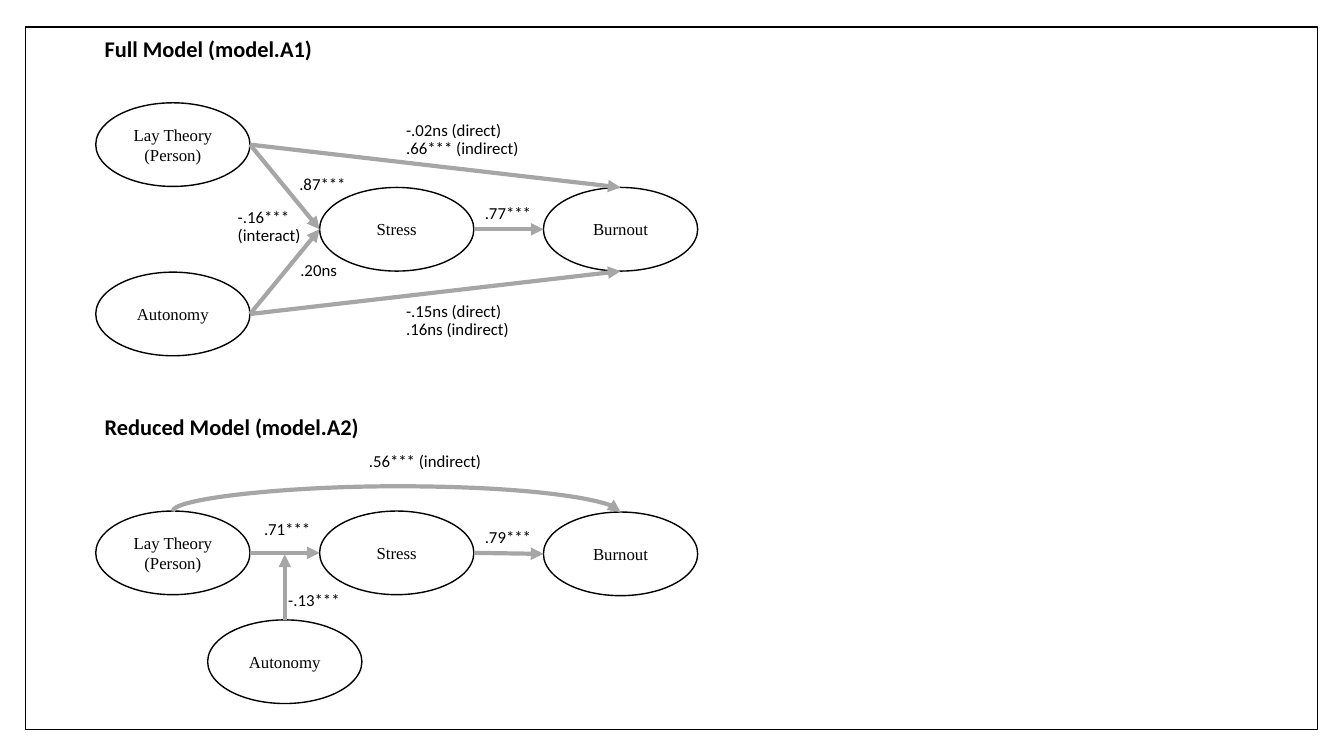
from lxml import etree
from pptx import Presentation
from pptx.dml.color import RGBColor
from pptx.enum import shapes, text
from pptx.oxml.ns import qn
from pptx.util import Inches, Pt

BLACK = RGBColor(0x00, 0x00, 0x00)
WHITE = RGBColor(0xFF, 0xFF, 0xFF)
GRAY = RGBColor(0xA6, 0xA6, 0xA6)

NODE_WIDTH, NODE_HEIGHT = 1.53, 0.83
PERSON_X, STRESS_X, BURNOUT_X = 0.95, 3.17, 5.39
MODERATOR_X = (PERSON_X + STRESS_X) / 2

# Points on an ellipse, as shares of its width and height
TOP, LEFT, BOTTOM, RIGHT = (0.5, 0), (0, 0.5), (0.5, 1), (1, 0.5)

# Labels: text, left, top, width
MODELS = [
    {
        "heading": ("Full Model (model.A1)", 0.33),
        "nodes": {
            "Lay Theory (Person)": (PERSON_X, 1.02),
            "Autonomy": (PERSON_X, 2.7),
            "Stress": (STRESS_X, 1.86),
            "Burnout": (BURNOUT_X, 1.86),
        },
        "arrows": [
            ("Lay Theory (Person)", RIGHT, "Stress", LEFT),
            ("Autonomy", RIGHT, "Stress", LEFT),
            ("Stress", RIGHT, "Burnout", LEFT),
            ("Lay Theory (Person)", RIGHT, "Burnout", TOP),
            ("Autonomy", RIGHT, "Burnout", BOTTOM),
        ],
        "labels": [
            (".87***", 2.87, 1.7, 0.69),
            (".20ns", 2.88, 2.55, 0.58),
            ("-.16***\n(interact)", 2.26, 2.02, 0.83),
            ("-.02ns (direct)\n.66*** (indirect)", 3.93, 1.16, 2.23),
            ("-.15ns (direct)\n.16ns (indirect)", 3.93, 2.96, 2.23),
            (".77***", 4.71, 1.98, 0.69),
        ],
    },
    {
        "heading": ("Reduced Model (model.A2)", 4.08),
        "nodes": {
            "Lay Theory (Person)": (PERSON_X, 5.07),
            "Autonomy": (MODERATOR_X, 6.15),
            "Stress": (STRESS_X, 5.07),
            "Burnout": (BURNOUT_X, 5.08),
        },
        "arrows": [
            ("Lay Theory (Person)", RIGHT, "Stress", LEFT),
            ("Stress", RIGHT, "Burnout", LEFT),
        ],
        "labels": [
            (".71***", 2.52, 5.12, 0.69),
            (".79***", 4.71, 5.2, 0.69),
            ("-.13***", 2.76, 5.82, 0.89),
            (".56*** (indirect)", 3.56, 4.44, 2.23),
        ],
    },
]

presentation = Presentation()
presentation.slide_width, presentation.slide_height = Inches(13.33), Inches(7.5)
slide = presentation.slides.add_slide(presentation.slide_layouts[6])


def format_text(text_frame, size, font, bold=False):
    text_frame.word_wrap = True
    for paragraph in text_frame.paragraphs:
        for run in paragraph.runs:
            run.font.size, run.font.name, run.font.bold = Pt(size), font, bold
            run.font.color.rgb = BLACK


def add_outline(kind, left, top, width, height):
    shape = slide.shapes.add_shape(
        kind, Inches(left), Inches(top), Inches(width), Inches(height))
    shape.shadow.inherit = False
    shape.line.color.rgb, shape.line.width = BLACK, Pt(1)
    return shape


def add_node(name, left, top):
    shape = add_outline(shapes.MSO_SHAPE.OVAL, left, top, NODE_WIDTH, NODE_HEIGHT)
    shape.fill.background()
    frame = shape.text_frame
    frame.margin_left = frame.margin_right = frame.margin_top = frame.margin_bottom = 0
    frame.vertical_anchor = text.MSO_ANCHOR.MIDDLE
    frame.text = name
    frame.paragraphs[0].alignment = text.PP_ALIGN.CENTER
    format_text(frame, 12, "Times New Roman")


def add_label(content, left, top, width, height=0.3, size=12, bold=False):
    box = slide.shapes.add_textbox(Inches(left), Inches(top), Inches(width), Inches(height))
    box.text_frame.text = content
    for paragraph in box.text_frame.paragraphs:
        paragraph.line_spacing = 0.9
    format_text(box.text_frame, size, "Calibri", bold)


def add_arrow(start, end, kind=shapes.MSO_CONNECTOR.STRAIGHT):
    arrow = slide.shapes.add_connector(kind, *(Inches(value) for value in (*start, *end)))
    arrow.line.color.rgb, arrow.line.width = GRAY, Pt(3)
    line = arrow._element.spPr.find(qn("a:ln"))
    etree.SubElement(line, qn("a:tailEnd"), type="triangle")
    etree.SubElement(arrow._element.spPr, qn("a:effectLst"))
    return arrow


def edge_point(place, side):
    return place[0] + NODE_WIDTH * side[0], place[1] + NODE_HEIGHT * side[1]


# Frame
frame_shape = add_outline(shapes.MSO_SHAPE.RECTANGLE, 0.25, 0.27, 12.82, 6.97)
frame_shape.fill.solid()
frame_shape.fill.fore_color.rgb = WHITE

# Both path models
for model in MODELS:
    heading, heading_top = model["heading"]
    add_label(heading, 0.94, heading_top, 2.99, 0.37, size=16, bold=True)
    nodes = model["nodes"]
    for name, place in nodes.items():
        add_node(name, *place)
    for source, source_side, target, target_side in model["arrows"]:
        add_arrow(edge_point(nodes[source], source_side),
                  edge_point(nodes[target], target_side))
    for label in model["labels"]:
        add_label(*label)

# Moderation: Autonomy acts on the path from Lay Theory to Stress
moderator_top = edge_point(MODELS[1]["nodes"]["Autonomy"], TOP)
add_arrow(moderator_top, (moderator_top[0], 5.5))

# Indirect path: a curve turned a quarter so that it arches 0.25 inch upward
span, drop, rise = BURNOUT_X - PERSON_X, 0.01, 0.25
center_x, center_y = (PERSON_X + BURNOUT_X + NODE_WIDTH) / 2, 5.07 + drop / 2
curve = add_arrow((center_x + drop / 2, center_y - span / 2),
                  (center_x - drop / 2, center_y + span / 2), shapes.MSO_CONNECTOR.CURVE)
properties = curve._element.spPr
properties.find(qn("a:xfrm")).set("rot", str(270 * 60000))
geometry = properties.find(qn("a:prstGeom"))
adjustments = geometry.find(qn("a:avLst"))
if adjustments is None:
    adjustments = etree.SubElement(geometry, qn("a:avLst"))
etree.SubElement(adjustments, qn("a:gd"), name="adj1",
                 fmla=f"val {round(-rise / drop * 100000)}")

presentation.save("out.pptx")
